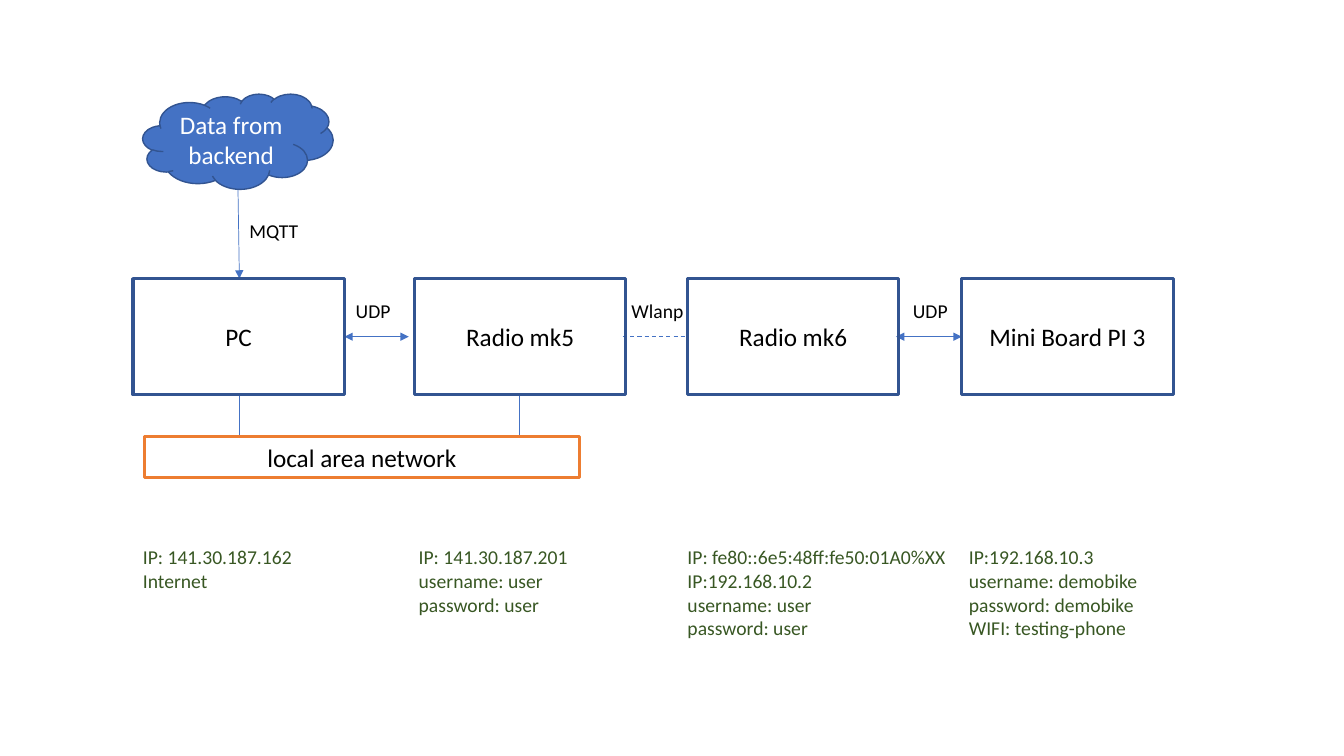
import pptx
import pptx.util
import pptx.dml.color
import pptx.enum.dml
import pptx.enum.shapes
import pptx.enum.text
import pptx.oxml
import pptx.oxml.ns
from dataclasses import dataclass

Pt = pptx.util.Pt
RGB = pptx.dml.color.RGBColor.from_string
SHAPE = pptx.enum.shapes.MSO_SHAPE
ALIGN = pptx.enum.text.PP_ALIGN
ANCHOR = pptx.enum.text.MSO_ANCHOR


@dataclass(frozen=True)
class Theme:
    font: str = "Calibri"
    node_size: float = 18
    small_size: float = 14
    blue: str = "4472C4"
    navy: str = "325491"
    orange: str = "ED7D31"
    green: str = "385723"
    black: str = "000000"
    white: str = "FFFFFF"


T = Theme()

prs = pptx.Presentation()
prs.slide_width, prs.slide_height = Pt(960), Pt(540)
s = prs.slides.add_slide(prs.slide_layouts[6])


def write(sp, text, size, color, align=ALIGN.CENTER, anchor=ANCHOR.MIDDLE, wrap=True):
    tf = sp.text_frame
    tf.text = text
    tf.word_wrap = wrap
    tf.vertical_anchor = anchor
    for p in tf.paragraphs:
        p.alignment = align
        for r in p.runs:
            r.font.name, r.font.size = T.font, Pt(size)
            r.font.color.rgb = RGB(color)


def connect(x1, y1, x2, y2, width=0.5, ends=(), dash=False):
    cn = s.shapes.add_connector(pptx.enum.shapes.MSO_CONNECTOR.STRAIGHT,
                                Pt(x1), Pt(y1), Pt(x2), Pt(y2))
    cn.line.color.rgb, cn.line.width = RGB(T.blue), Pt(width)
    if dash:
        cn.line.dash_style = pptx.enum.dml.MSO_LINE.DASH
    ln = cn.line._get_or_add_ln()
    for end in ends:
        ln.append(pptx.oxml.parse_xml(
            f'<a:{end} {pptx.oxml.ns.nsdecls("a")} type="triangle"/>'))
    cn._element.spPr.append(pptx.oxml.parse_xml(
        f'<a:effectLst {pptx.oxml.ns.nsdecls("a")}/>'))


# Links to the local area network, then the links between devices
node_y, node_w, node_h, lan_y = 199, 151, 83, 312
mid_y = node_y + node_h / 2
both = ("headEnd", "tailEnd")
for x in (171, 371):
    connect(x, node_y + node_h, x, lan_y)
connect(170, 135, 171, node_y, ends=("tailEnd",))
connect(246, mid_y, 292, mid_y, 1, both)
connect(445, mid_y, 491, mid_y, 0.75, dash=True)
connect(640, mid_y, 687, mid_y, 0.5, both)

# Cloud, device boxes and network bar: kind, frame, fill, line, width, text, colour
shapes = [
    (SHAPE.CLOUD, (102, 67, 136, 68), T.blue, T.navy, 1, "Data from backend", T.white),
    (SHAPE.RECTANGLE, (103, lan_y, 311, 29), T.white, T.orange, 2.25,
     "local area network", T.black),
]
devices = [(95, "PC"), (296, "Radio mk5"), (491, "Radio mk6"), (687, "Mini Board PI 3")]
for x, name in devices:
    shapes.append((SHAPE.RECTANGLE, (x, node_y, node_w, node_h),
                   None, T.navy, 2.25, name, T.black))

for kind, frame, fill, line, width, text, color in shapes:
    sp = s.shapes.add_shape(kind, *map(Pt, frame))
    sp.shadow.inherit = False
    if fill:
        sp.fill.solid()
        sp.fill.fore_color.rgb = RGB(fill)
    else:
        sp.fill.background()
    sp.line.color.rgb, sp.line.width = RGB(line), Pt(width)
    write(sp, text, T.node_size, color)

# Protocol labels
for x, y, w, text in [(171, 153, 50, "MQTT"), (247, 210, 40, "UDP"),
                      (444, 210, 52, "Wlanp"), (645, 210, 40, "UDP")]:
    sp = s.shapes.add_textbox(Pt(x), Pt(y), Pt(w), Pt(24))
    write(sp, text, T.small_size, T.black, ALIGN.LEFT, ANCHOR.TOP, wrap=False)

# Address and login notes
notes = [
    (95, 130, ["IP: 141.30.187.162", "Internet"]),
    (292, 130, ["IP: 141.30.187.201", "username: user", "password: user"]),
    (484, 206, ["IP: fe80::6e5:48ff:fe50:01A0%XX", "IP:192.168.10.2",
                "username: user", "password: user"]),
    (685, 150, ["IP:192.168.10.3", "username: demobike", "password: demobike",
                "WIFI: testing-phone"]),
]
for x, w, lines in notes:
    sp = s.shapes.add_textbox(Pt(x), Pt(386), Pt(w), Pt(8 + 17 * len(lines)))
    write(sp, "\n".join(lines), T.small_size, T.green, ALIGN.LEFT, ANCHOR.TOP)

prs.save("out.pptx")
